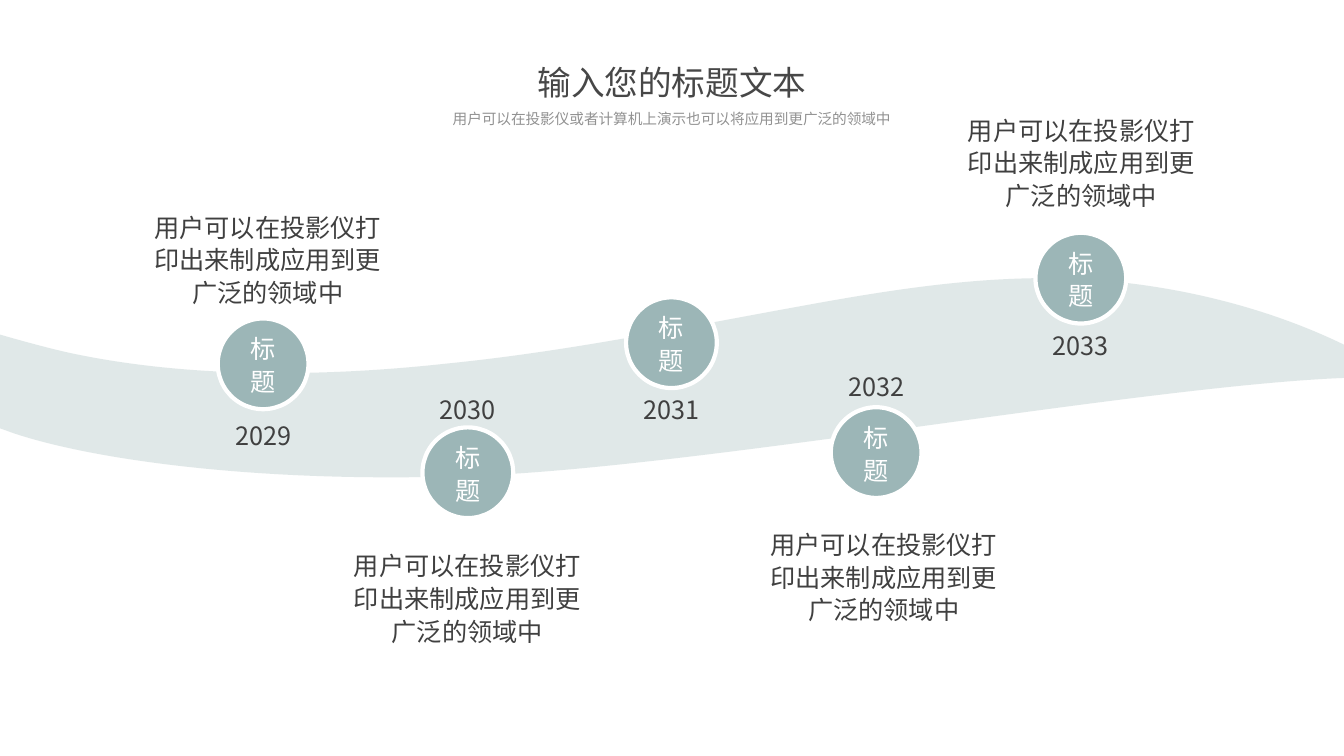
import pptx
import pptx.dml.color
import pptx.enum.shapes
import pptx.enum.text
import pptx.oxml.ns
import pptx.util
from lxml import etree

RGB = pptx.dml.color.RGBColor
SAGE = RGB(0x9C, 0xB6, 0xB7)
WHITE = RGB(0xFF, 0xFF, 0xFF)
DARK = RGB(0x40, 0x40, 0x40)
TITLE = RGB(0x47, 0x47, 0x47)
GREY = RGB(0x92, 0x92, 0x92)
FONT = "Noto Sans CJK SC"
SCALE = 9144  # EMU in one px, 100 px to the inch
WIDE, HIGH = 1333, 750
MID = pptx.enum.text.MSO_ANCHOR.MIDDLE
TOP = pptx.enum.text.MSO_ANCHOR.TOP
FIT = pptx.enum.text.MSO_AUTO_SIZE.SHAPE_TO_FIT_TEXT
NONE = pptx.enum.text.MSO_AUTO_SIZE.NONE
qn = pptx.oxml.ns.qn
NOTE = "用户可以在投影仪打印出来制成应用到更广泛的领域中"
FIRST, LAST, DISC = 261, 1072, 90

# Year, disc top, year top, note corner
STOPS = [
    ("2029", 316, 412, (143, 203)),
    ("2030", 424, 386, (341, 539)),
    ("2031", 295, 386, None),
    ("2032", 404, 363, (754, 518)),
    ("2033", 231, 322, (950, 107)),
]

# Outline of the river: one point is a line, three points are a cubic curve
START = (1047, 276)
BANKS = [
    [(960, 275), (875, 289), (793, 304)],
    [(677, 325), (562, 349), (441, 361)],
    [(321, 374), (192, 375), (78, 352)],
    [(52, 347), (7, 334), (0, 332)],
    [(0, 425)],
    [(14, 430)],
    [(95, 457), (263, 480), (471, 472)],
    [(693, 464), (1132, 383), (1333, 375)],
    [(1333, 342)],
    [(1255, 304), (1154, 278), (1047, 276)],
]


def px(*sizes):
    return [pptx.util.Emu(round(size * SCALE)) for size in sizes]


def write(shape, text, size, color, anchor=TOP, space=1.08, fit=NONE):
    frame = shape.text_frame
    for key, value in {"word_wrap": True, "vertical_anchor": anchor,
                       "auto_size": fit}.items():
        setattr(frame, key, value)
    para = frame.paragraphs[0]
    para.alignment = pptx.enum.text.PP_ALIGN.CENTER
    para.line_spacing = space
    run = para.add_run()
    run.text = text
    for key, value in {"name": FONT, "size": pptx.util.Pt(size)}.items():
        setattr(run.font, key, value)
    run.font.color.rgb = color
    east = etree.SubElement(run._r.get_or_add_rPr(), qn("a:ea"))
    east.set("typeface", FONT)


def label(shapes, box, *args, **style):
    shape = shapes.add_textbox(*px(*box))
    write(shape, *args, **style)
    return shape


def bend(shape):
    """Turn the straight sides of the river into its curves."""
    lines = list(shape._element.iter(qn("a:lnTo")))
    for line, dots in zip(lines, BANKS):
        if len(dots) == 1:
            continue
        line.tag = qn("a:cubicBezTo")
        for dot in list(line):
            line.remove(dot)
        for dot in dots:
            x, y = px(*dot)
            point = etree.SubElement(line, qn("a:pt"))
            point.set("x", str(x - shape.left))
            point.set("y", str(y - shape.top))


def river(shapes):
    pen = shapes.build_freeform(*px(*START), scale=1.0)
    pen.add_line_segments([tuple(px(*dots[-1])) for dots in BANKS], close=True)
    shape = pen.convert_to_shape()
    bend(shape)
    shape.shadow.inherit = False
    shape.fill.solid()
    shape.fill.fore_color.rgb = SAGE
    shape.line.fill.background()
    tint = shape._element.spPr.find(".//" + qn("a:srgbClr"))
    etree.SubElement(tint, qn("a:alpha")).set("val", "31000")


def head(shapes, left, top, width):
    group = shapes.add_group_shape().shapes
    label(group, (left + 238, top, 287, 50), "输入您的标题文本", 24, TITLE,
          space=1.0, fit=FIT)
    sub = label(group, (left, top + 48, width, 23),
                "用户可以在投影仪或者计算机上演示也可以将应用到更广泛的领域中",
                10.5, GREY, fit=FIT)
    for side, gap in {"left": 5, "right": 5, "top": 3, "bottom": 3}.items():
        setattr(sub.text_frame, "margin_" + side, px(gap)[0])


def stop(shapes, mid, year, top, low, note):
    disc = shapes.add_shape(pptx.enum.shapes.MSO_SHAPE.OVAL,
                            *px(mid - DISC / 2, top, DISC, DISC))
    disc.shadow.inherit = False
    disc.fill.solid()
    disc.fill.fore_color.rgb = SAGE
    disc.line.color.rgb = WHITE
    disc.line.width = pptx.util.Pt(3)
    write(disc, "标题", 18, WHITE, MID)
    label(shapes, (mid - 76, low, 152, 38), year, 18, DARK, MID)
    if note:
        label(shapes, (*note, 245, 107), NOTE, 18, DARK, fit=FIT)


def main():
    deck = pptx.Presentation()
    deck.slide_width, deck.slide_height = px(WIDE, HIGH)
    shapes = deck.slides.add_slide(deck.slide_layouts[6]).shapes
    river(shapes)
    step = (LAST - FIRST) / (len(STOPS) - 1)
    for i, item in enumerate(STOPS):
        stop(shapes, round(FIRST + i * step), *item)
    head(shapes, 285, 57, 763)
    deck.save("out.pptx")


if __name__ == "__main__":
    main()
